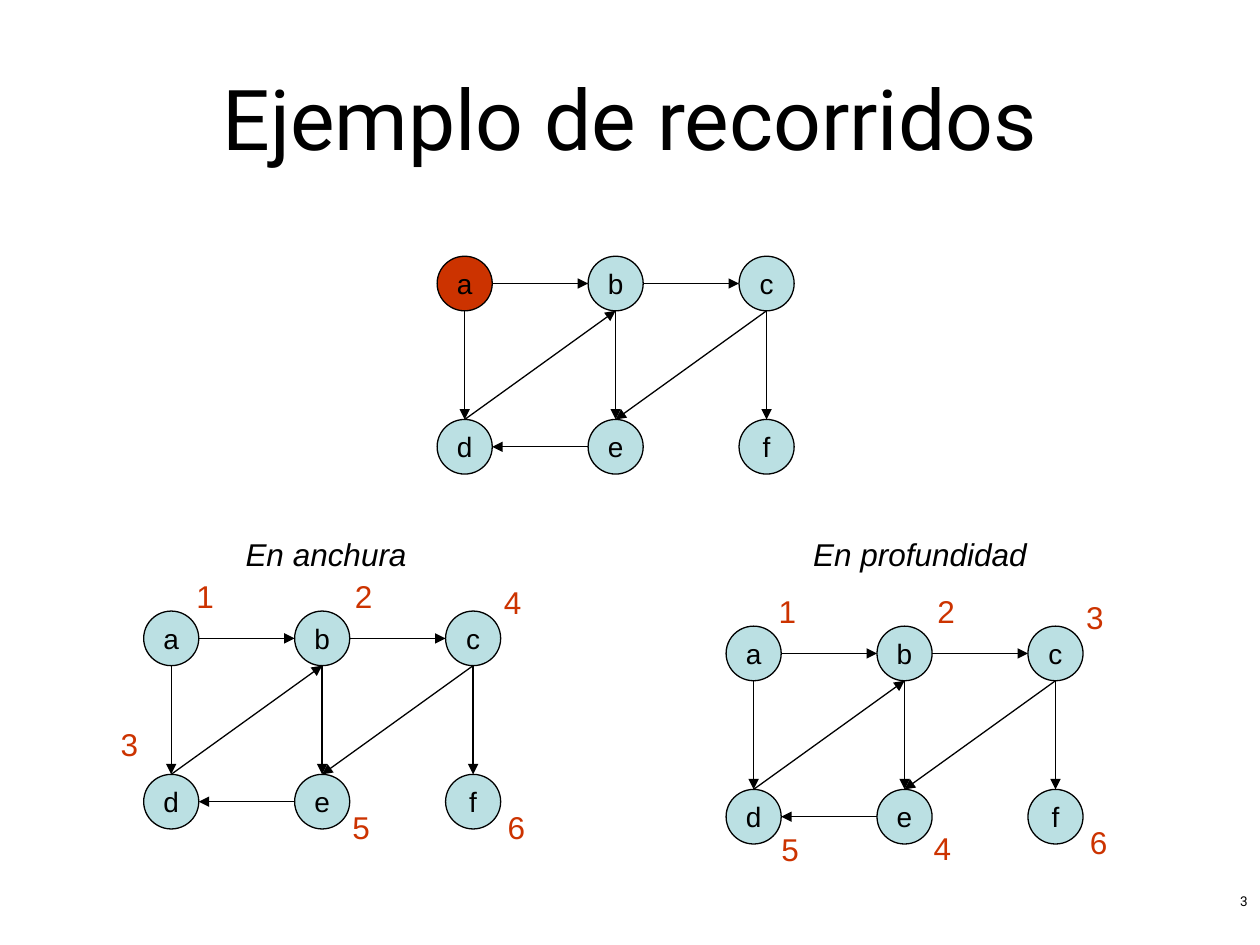
from lxml import etree
from pptx import Presentation
from pptx.dml.color import RGBColor
from pptx.enum.shapes import MSO_CONNECTOR, MSO_SHAPE
from pptx.enum.text import MSO_ANCHOR, MSO_AUTO_SIZE, PP_ALIGN
from pptx.oxml.ns import qn
from pptx.util import Pt

OVAL = MSO_SHAPE.OVAL
STRAIGHT = MSO_CONNECTOR.STRAIGHT
MIDDLE = MSO_ANCHOR.MIDDLE
FIT_TEXT, FIXED = MSO_AUTO_SIZE.SHAPE_TO_FIT_TEXT, MSO_AUTO_SIZE.NONE
LEFT, CENTER, RIGHT = PP_ALIGN.LEFT, PP_ALIGN.CENTER, PP_ALIGN.RIGHT

BLACK, RED, PALE_BLUE = "000000", "CC3300", "BBE0E3"
TITLE_FONT, BODY_FONT = "Roboto", "Arial"

# Graph geometry, in points
NODE_W, NODE_H = 31.5, 31.2
COLUMN_STEP, ROW_STEP = 86.25, 93.3
GRID = {name: (i % 3, i // 3) for i, name in enumerate("abcdef")}

# Each edge: start node, its side, end node, its side
EDGES = [
    ("a", "bottom", "d", "top"),
    ("b", "bottom", "e", "top"),
    ("c", "bottom", "f", "top"),
    ("c", "bottom", "e", "top"),
    ("d", "top", "b", "bottom"),
    ("a", "right", "b", "left"),
    ("b", "right", "c", "left"),
    ("e", "left", "d", "right"),
]
SIDES = {"top": (0.5, 0), "bottom": (0.5, 1), "left": (0, 0.5), "right": (1, 0.5)}

# Visit number position relative to its node
NUMBER_OFFSETS = {"a": (23, -23), "b": (27.4, -23), "c": (26.2, -19.4), "f": (28.4, 15.5)}


def rgb(hex_color):
    return RGBColor.from_string(hex_color)


def write(frame, text, size, font=BODY_FONT, color=BLACK, align=LEFT, italic=False):
    paragraph = frame.paragraphs[0]
    paragraph.alignment = align
    run = paragraph.add_run()
    run.text = text
    formats = {"name": font, "size": Pt(size), "italic": italic}
    for key, value in formats.items():
        setattr(run.font, key, value)
    run.font.color.rgb = rgb(color)
    return paragraph


def add_label(slide, box, text, size, wrap=False, **style):
    label = slide.shapes.add_textbox(*map(Pt, box))
    label.text_frame.word_wrap = wrap
    label.text_frame.auto_size = FIXED if wrap else FIT_TEXT
    return write(label.text_frame, text, size, **style)


def node_corner(origin, name):
    column, row = GRID[name]
    return origin[0] + column * COLUMN_STEP, origin[1] + row * ROW_STEP


def node_side(origin, name, side):
    x, y = node_corner(origin, name)
    across, down = SIDES[side]
    return Pt(x + across * NODE_W), Pt(y + down * NODE_H)


def add_node(shapes, origin, name, color):
    x, y = node_corner(origin, name)
    node = shapes.add_shape(OVAL, Pt(x), Pt(y), Pt(NODE_W), Pt(NODE_H))
    node.shadow.inherit = False
    node.fill.solid()
    node.fill.fore_color.rgb = rgb(color)
    node.line.color.rgb = rgb(BLACK)
    node.line.width = Pt(0.75)
    node.text_frame.word_wrap = False
    node.text_frame.vertical_anchor = MIDDLE
    write(node.text_frame, name, 16, align=CENTER)


def add_edge(shapes, start, end):
    edge = shapes.add_connector(STRAIGHT, *start, *end)
    edge.line.color.rgb = rgb(BLACK)
    edge.line.width = Pt(0.75)
    properties = edge.line._get_or_add_ln()
    etree.SubElement(properties, qn("a:tailEnd"), type="triangle")
    etree.SubElement(properties.getparent(), qn("a:effectLst"))


def add_graph(shapes, origin, start_node=None):
    for name in GRID:
        add_node(shapes, origin, name, RED if name == start_node else PALE_BLUE)
    for source, source_side, target, target_side in EDGES:
        add_edge(shapes, node_side(origin, source, source_side),
                 node_side(origin, target, target_side))


def add_traversal(slide, origin, heading, heading_box, order, offsets):
    """Graph with its heading and the visit number of each node."""
    add_graph(slide.shapes.add_group_shape().shapes, origin)
    for number, name in enumerate(order, 1):
        x, y = node_corner(origin, name)
        dx, dy = {**NUMBER_OFFSETS, **offsets}[name]
        add_label(slide, (x + dx, y + dy, 24.5, 29), str(number), 18, color=RED)
    add_label(slide, heading_box, heading, 18, italic=True)


def add_title(slide, box, text):
    title = slide.shapes.title
    for key, value in zip(("left", "top", "width", "height"), box):
        setattr(title, key, Pt(value))
    title.text_frame.vertical_anchor = MIDDLE
    write(title.text_frame, text, 48, font=TITLE_FONT, align=CENTER)


def main():
    deck = Presentation()
    deck.slide_width, deck.slide_height = Pt(720), Pt(540)
    slide = deck.slides.add_slide(deck.slide_layouts[5])

    # Title and page number
    add_title(slide, (36, 21.6, 648, 90), "Ejemplo de recorridos")
    page = add_label(slide, (552, 508.3, 168, 19.5), "3", 7.7, wrap=True,
                     font=TITLE_FONT, align=RIGHT)
    page.line_spacing = 0.8

    # Starting graph
    add_graph(slide.shapes, (249.8, 146.4), start_node="a")

    # Breadth-first and depth-first traversals
    add_traversal(slide, (82.1, 349.2), "En anchura", (133.2, 302, 107, 29),
                  "abdcef", {"d": (-20.2, -32), "e": (26, 15.5)})
    add_traversal(slide, (414.9, 357.8), "En profundidad", (457.5, 302, 137.5, 29),
                  "abcedf", {"d": (24.5, 19.8), "e": (25.3, 19)})

    deck.save("out.pptx")


if __name__ == "__main__":
    main()
